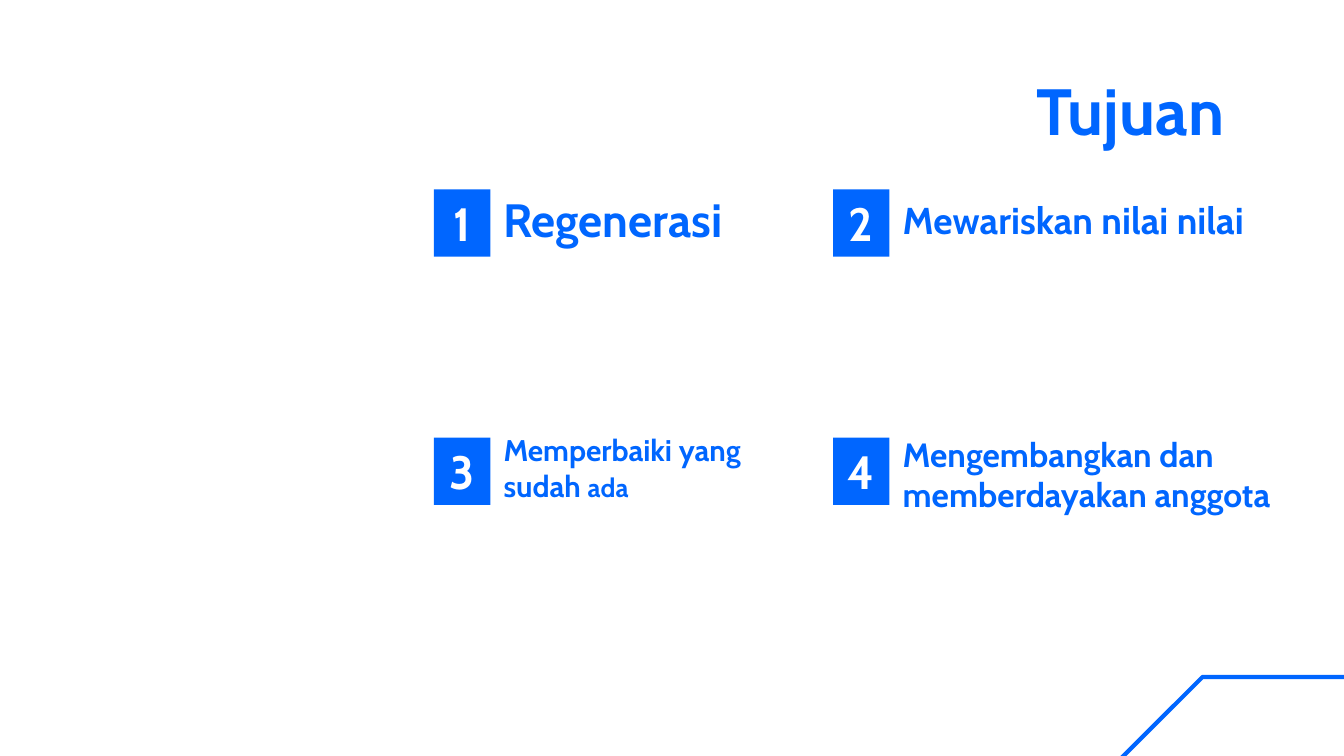
from dataclasses import dataclass

import pptx
import pptx.dml.color
import pptx.enum.shapes
import pptx.enum.text
import pptx.shapes.base
import pptx.slide
import pptx.util
from pptx.util import Pt

BLUE = pptx.dml.color.RGBColor(0x00, 0x66, 0xFF)
WHITE = pptx.dml.color.RGBColor(0xFF, 0xFF, 0xFF)
FONT = "Cabin"
ALIGN = pptx.enum.text.PP_ALIGN
ANCHOR = pptx.enum.text.MSO_ANCHOR

BADGE_WIDTH, BADGE_HEIGHT = 30.2, 36
COLUMN_LEFTS = (232.5, 446.3)
ROW_TOPS = (101.5, 234.5)
LABEL_RISE = 2.9
CORNER_OUTLINE = (
    (614.2, 571), (770.4, 414.8), (770.4, 362.7),
    (644.2, 362.7), (479.5, 527.4), (459.4, 571),
)


@dataclass(frozen=True)
class Goal:
    """A goal whose label is a series of (text, size) runs."""
    runs: tuple[tuple[str, float], ...]
    width: float
    height: float


GOALS = (
    Goal((("Regenerasi", 25),), 160.6, 41),
    Goal((("Mewariskan nilai nilai", 20),), 208.1, 38.2),
    Goal((("Memperbaiki yang sudah ", 16), ("ada", 14)), 177.1, 45.4),
    Goal((("Mengembangkan dan memberdayakan anggota", 18),), 233.3, 51.1),
)


def write_text(shape: pptx.shapes.base.BaseShape,
               runs: tuple[tuple[str, float], ...], *,
               color: pptx.dml.color.RGBColor = BLUE,
               align: ALIGN = ALIGN.LEFT,
               anchor: ANCHOR = ANCHOR.BOTTOM) -> None:
    frame = shape.text_frame
    frame.word_wrap = True
    frame.vertical_anchor = anchor
    frame.margin_left = frame.margin_right = Pt(7.2)
    frame.margin_top = frame.margin_bottom = Pt(7.2)
    paragraph = frame.paragraphs[0]
    paragraph.alignment = align
    for text, size in runs:
        run = paragraph.add_run()
        run.text = text
        run.font.name = FONT
        run.font.size = Pt(size)
        run.font.bold = True
        run.font.color.rgb = color


def draw_corner(slide: pptx.slide.Slide) -> None:
    start, *rest = [(Pt(x), Pt(y)) for x, y in CORNER_OUTLINE]
    builder = slide.shapes.build_freeform(*start)
    builder.add_line_segments(rest, close=True)
    shape = builder.convert_to_shape()
    shape.shadow.inherit = False
    shape.fill.background()
    shape.line.color.rgb = BLUE
    shape.line.width = Pt(2.25)


def draw_goal(slide: pptx.slide.Slide, index: int, goal: Goal) -> None:
    row, column = divmod(index, len(COLUMN_LEFTS))
    left, top = COLUMN_LEFTS[column], ROW_TOPS[row]
    label = slide.shapes.add_textbox(
        Pt(left + BADGE_WIDTH), Pt(top - LABEL_RISE),
        Pt(goal.width), Pt(goal.height))
    write_text(label, goal.runs)

    badge = slide.shapes.add_shape(
        pptx.enum.shapes.MSO_SHAPE.RECTANGLE,
        Pt(left), Pt(top), Pt(BADGE_WIDTH), Pt(BADGE_HEIGHT))
    badge.shadow.inherit = False
    badge.fill.solid()
    badge.fill.fore_color.rgb = BLUE
    badge.line.fill.background()
    write_text(badge, ((str(index + 1), 25),), color=WHITE,
               align=ALIGN.CENTER, anchor=ANCHOR.MIDDLE)


def main() -> None:
    presentation = pptx.Presentation()
    presentation.slide_width, presentation.slide_height = Pt(720), Pt(405)
    slide = presentation.slides.add_slide(presentation.slide_layouts[6])
    slide.background.fill.solid()
    slide.background.fill.fore_color.rgb = WHITE

    draw_corner(slide)
    title = slide.shapes.add_textbox(Pt(208), Pt(30.2), Pt(455), Pt(65.5))
    write_text(title, (("Tujuan", 35),), align=ALIGN.RIGHT, anchor=ANCHOR.TOP)
    for index, goal in enumerate(GOALS):
        draw_goal(slide, index, goal)

    presentation.save("out.pptx")


if __name__ == "__main__":
    main()
